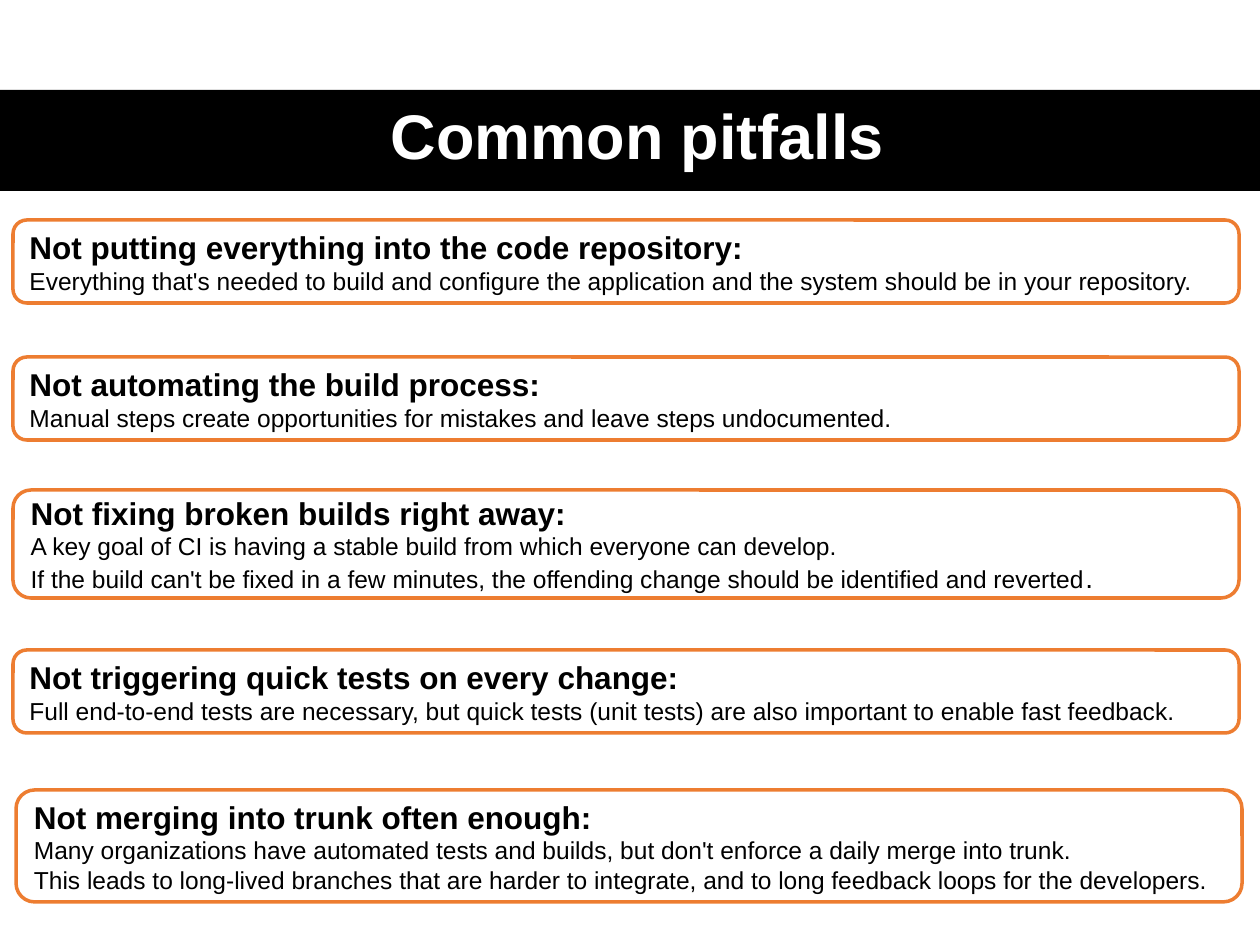
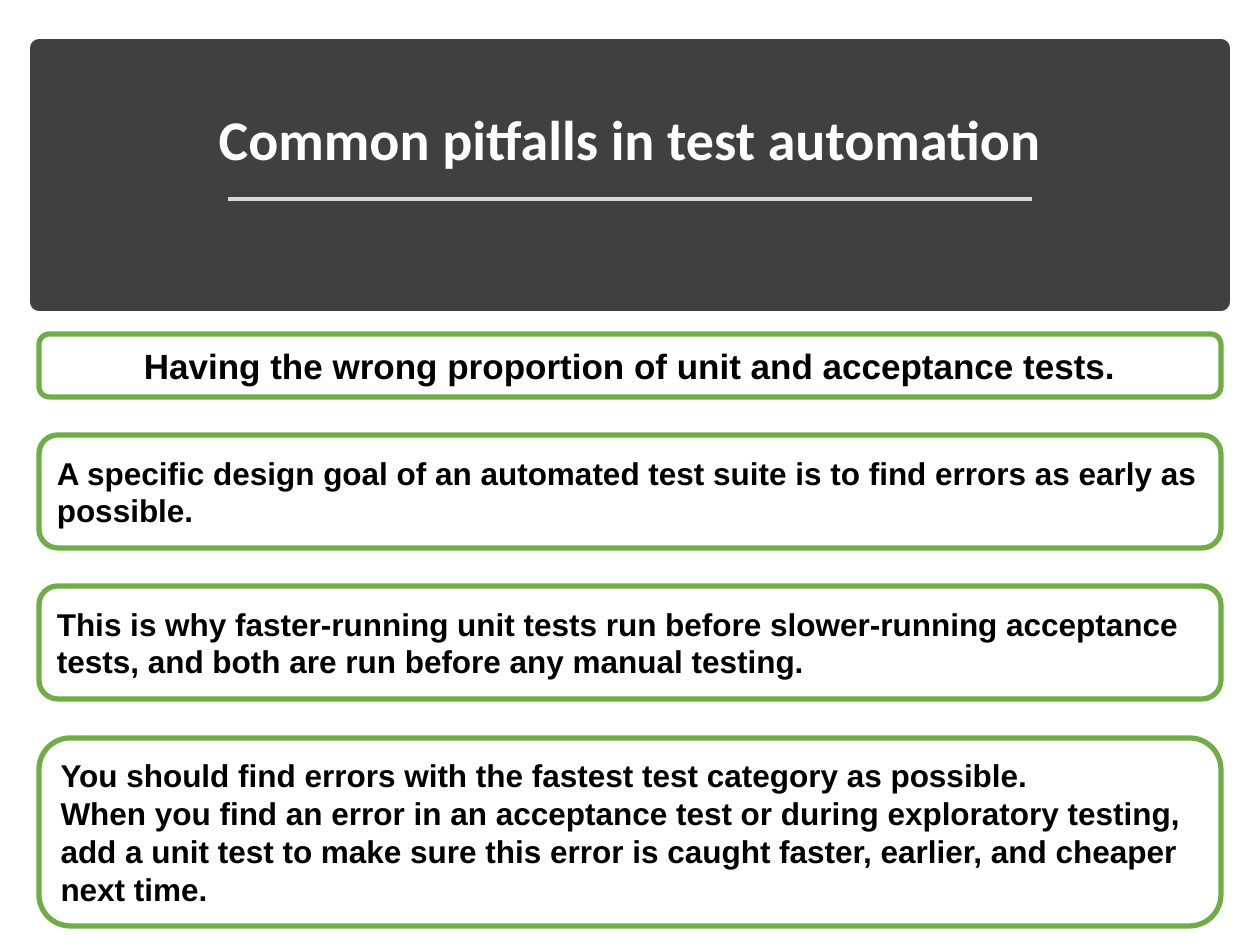
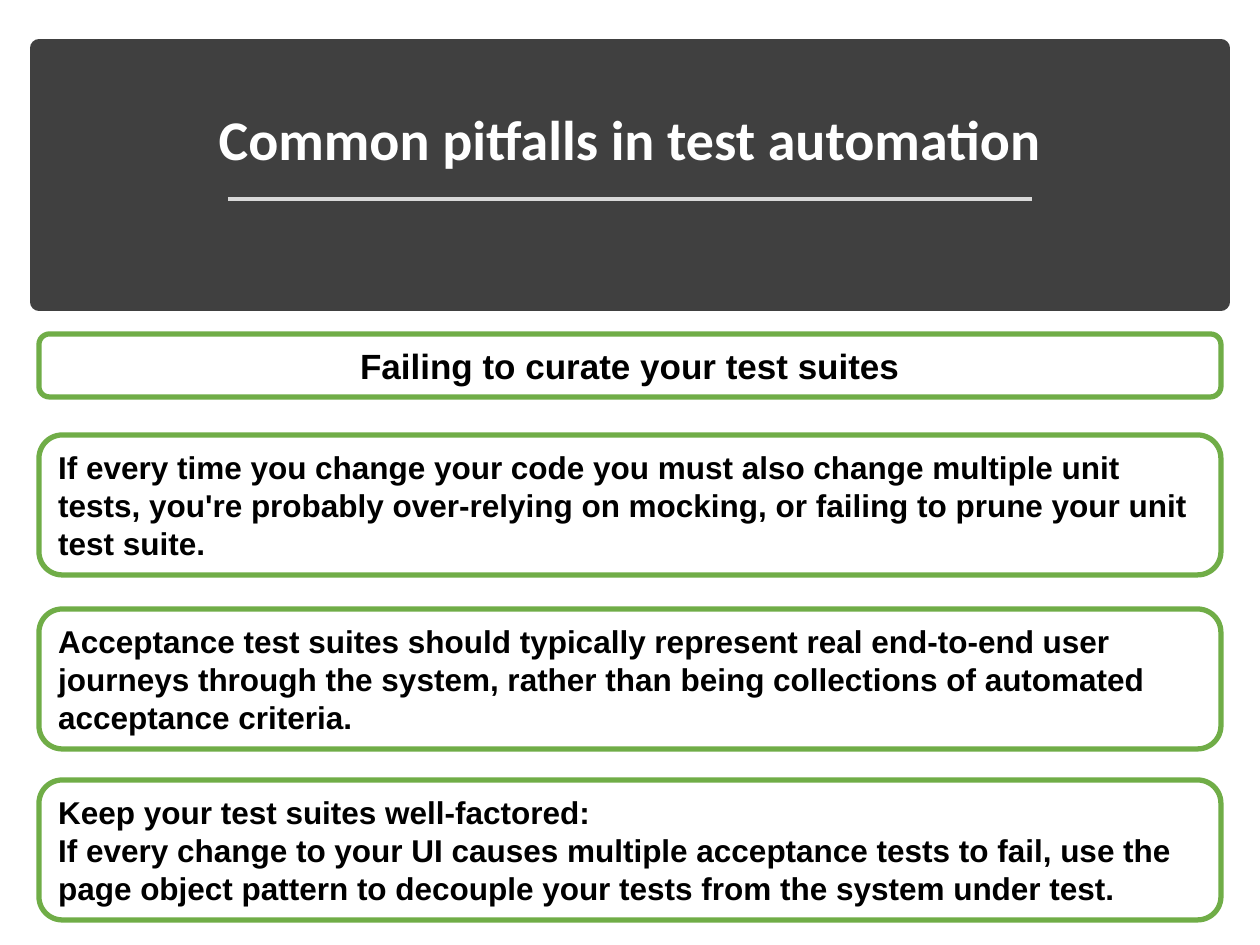
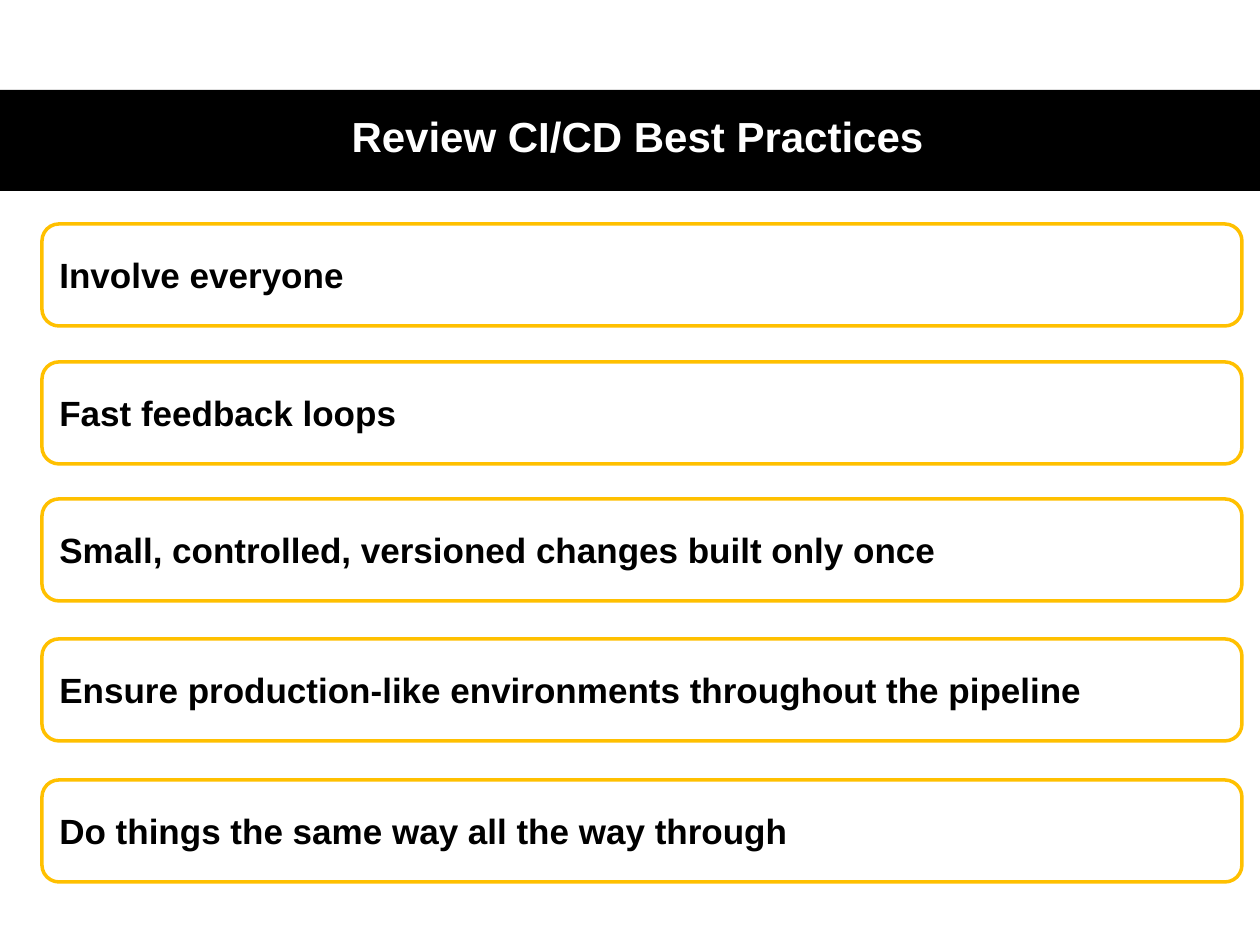
from lxml.etree import SubElement
from pptx import Presentation
from pptx.dml.color import RGBColor
from pptx.enum.shapes import MSO_CONNECTOR as Connector, MSO_SHAPE as Shape
from pptx.enum.text import MSO_ANCHOR as Anchor, PP_ALIGN as Align
from pptx.oxml.ns import qn
from pptx.util import Emu, Pt

PX_PER_INCH = 126
TITLE_ONLY = 5

BLACK = RGBColor(0x00, 0x00, 0x00)
WHITE = RGBColor(0xFF, 0xFF, 0xFF)
CHARCOAL = RGBColor(0x40, 0x40, 0x40)
SILVER = RGBColor(0xD9, 0xD9, 0xD9)
ORANGE = RGBColor(0xED, 0x7D, 0x31)
GREEN = RGBColor(0x70, 0xAD, 0x47)
GOLD = RGBColor(0xFF, 0xC0, 0x00)

BUILD_PITFALLS = [
    (13, 220, 83, "Not putting everything into the code repository:",
     ["Everything that's needed to build and configure the application "
      "and the system should be in your repository."]),
    (13, 357, 83, "Not automating the build process:",
     ["Manual steps create opportunities for mistakes and leave steps undocumented."]),
    (13, 490, 108, "Not fixing broken builds right away:",
     ["A key goal of CI is having a stable build from which everyone can develop.",
      "If the build can't be fixed in a few minutes, the offending change "
      "should be identified and reverted"]),
    (13, 650, 83, "Not triggering quick tests on every change:",
     ["Full end-to-end tests are necessary, but quick tests (unit tests) "
      "are also important to enable fast feedback."]),
    (16, 790, 112, "Not merging into trunk often enough:",
     ["Many organizations have automated tests and builds, "
      "but don't enforce a daily merge into trunk.",
      "This leads to long-lived branches that are harder to integrate, "
      "and to long feedback loops for the developers."]),
]

PROPORTION_ADVICE = [
    (435, 113, ["A specific design goal of an automated test suite is "
                "to find errors as early as possible."]),
    (586, 113, ["This is why faster-running unit tests run before slower-running "
                "acceptance tests, and both are run before any manual testing."]),
    (738, 188, ["You should find errors with the fastest test category as possible.",
                "When you find an error in an acceptance test or during exploratory "
                "testing, add a unit test to make sure this error is caught faster, "
                "earlier, and cheaper next time."]),
]

CURATION_ADVICE = [
    (435, 140, ["If every time you change your code you must also change multiple "
                "unit tests, you're probably over-relying on mocking, or failing "
                "to prune your unit test suite."]),
    (609, 140, ["Acceptance test suites should typically represent real end-to-end "
                "user journeys through the system, rather than being collections "
                "of automated acceptance criteria."]),
    (780, 140, ["Keep your test suites well-factored:",
                "If every change to your UI causes multiple acceptance tests to fail, "
                "use the page object pattern to decouple your tests from the system "
                "under test."]),
]

BEST_PRACTICES = [
    (224, "Involve everyone"),
    (362, "Fast feedback loops"),
    (499, "Small, controlled, versioned changes built only once"),
    (639, "Ensure production-like environments throughout the pipeline"),
    (780, "Do things the same way all the way through"),
]


def px(length):
    """Turn a length in px into EMU."""
    return Emu(round(length * 914400 / PX_PER_INCH))


def write(para, text, size=18, bold=True, color=BLACK, font="Arial", align=Align.LEFT):
    """Add a formatted span to a paragraph."""
    para.alignment = align
    span = para.add_run()
    span.text = text
    span.font.name = font
    span.font.size = Pt(size)
    span.font.bold = bold
    span.font.color.rgb = color


def add_block(page, kind, left, top, width, height, fill, line=None, weight=0):
    """Draw a filled shape, outlined when a line colour is given."""
    block = page.shapes.add_shape(kind, px(left), px(top), px(width), px(height))
    block.shadow.inherit = False
    block.fill.solid()
    block.fill.fore_color.rgb = fill
    if line is None:
        block.line.fill.background()
    else:
        block.line.color.rgb = line
        block.line.width = Pt(weight)
    return block


def add_card(page, left, top, width, height, lines, color, weight=2, **style):
    """Draw a rounded card with one paragraph per line and return its text frame."""
    card = add_block(page, Shape.ROUNDED_RECTANGLE, left, top, width, height,
                     WHITE, color, weight)
    frame = card.text_frame
    frame.word_wrap = True
    frame.vertical_anchor = Anchor.MIDDLE
    for number, text in enumerate(lines):
        para = frame.add_paragraph() if number else frame.paragraphs[0]
        write(para, text, **style)
    return frame


def set_title(page, text, left, top, width, height, anchor, **style):
    """Place the title placeholder in front of what is drawn so far."""
    title = page.shapes.title
    title.left, title.top = px(left), px(top)
    title.width, title.height = px(width), px(height)
    title.element.getparent().append(title.element)
    frame = title.text_frame
    frame.word_wrap = True
    frame.vertical_anchor = anchor
    para = frame.paragraphs[0]
    para.line_spacing = 0.9
    write(para, text, color=WHITE, align=Align.CENTER, **style)


def add_band_page(deck, title, size):
    """Add a page with its title on a full-width black band."""
    page = deck.slides.add_slide(deck.slide_layouts[TITLE_ONLY])
    add_block(page, Shape.RECTANGLE, 0, 90, 1260, 101, BLACK)
    set_title(page, title, 58, 88, 1159, 102, Anchor.MIDDLE, size=size)
    return page


def add_rule(page, left, right, y):
    """Draw the thin line under a panel title."""
    rule = page.shapes.add_connector(Connector.STRAIGHT, px(left), px(y), px(right), px(y))
    rule.line.color.rgb = SILVER
    rule.line.width = Pt(1.75)
    SubElement(rule.element.spPr, qn("a:effectLst"))


def add_automation_page(deck, topic, advice):
    """Add a test automation page: panel title, topic card and advice cards."""
    page = deck.slides.add_slide(deck.slide_layouts[TITLE_ONLY])
    add_block(page, Shape.RECTANGLE, 39, 48, 1182, 254, CHARCOAL, CHARCOAL, 10)
    set_title(page, "Common pitfalls in test automation", 54, 68, 1152, 111,
              Anchor.BOTTOM, size=32, font="Calibri")
    add_rule(page, 228, 1032, 199)
    add_card(page, 39, 334, 1182, 63, [topic], GREEN, weight=3, size=20, align=Align.CENTER)
    for top, height, lines in advice:
        add_card(page, 39, top, 1182, height, lines, GREEN, weight=3)


def add_build_page(deck):
    """Add the page of build pitfalls, each a heading with its explanation."""
    page = add_band_page(deck, "Common pitfalls", 36)
    for left, top, height, heading, details in BUILD_PITFALLS:
        frame = add_card(page, left, top, 1226, height, [heading], ORANGE)
        for detail in details:
            para = frame.add_paragraph()
            write(para, detail, size=14, bold=False)
            if not detail.endswith("."):
                write(para, ".", size=16, bold=False)


def add_practices_page(deck):
    """Add the page that reviews the best practices."""
    page = add_band_page(deck, "Review CI/CD Best Practices", 24)
    for top, practice in BEST_PRACTICES:
        add_card(page, 42, top, 1200, 102, [practice], GOLD, size=20)


def main():
    """Build the deck and save it."""
    deck = Presentation()
    deck.slide_width, deck.slide_height = px(1260), px(945)
    add_build_page(deck)
    add_automation_page(deck, "Having the wrong proportion of unit and acceptance tests.",
                        PROPORTION_ADVICE)
    add_automation_page(deck, "Failing to curate your test suites", CURATION_ADVICE)
    add_practices_page(deck)
    deck.save("out.pptx")


if __name__ == "__main__":
    main()
